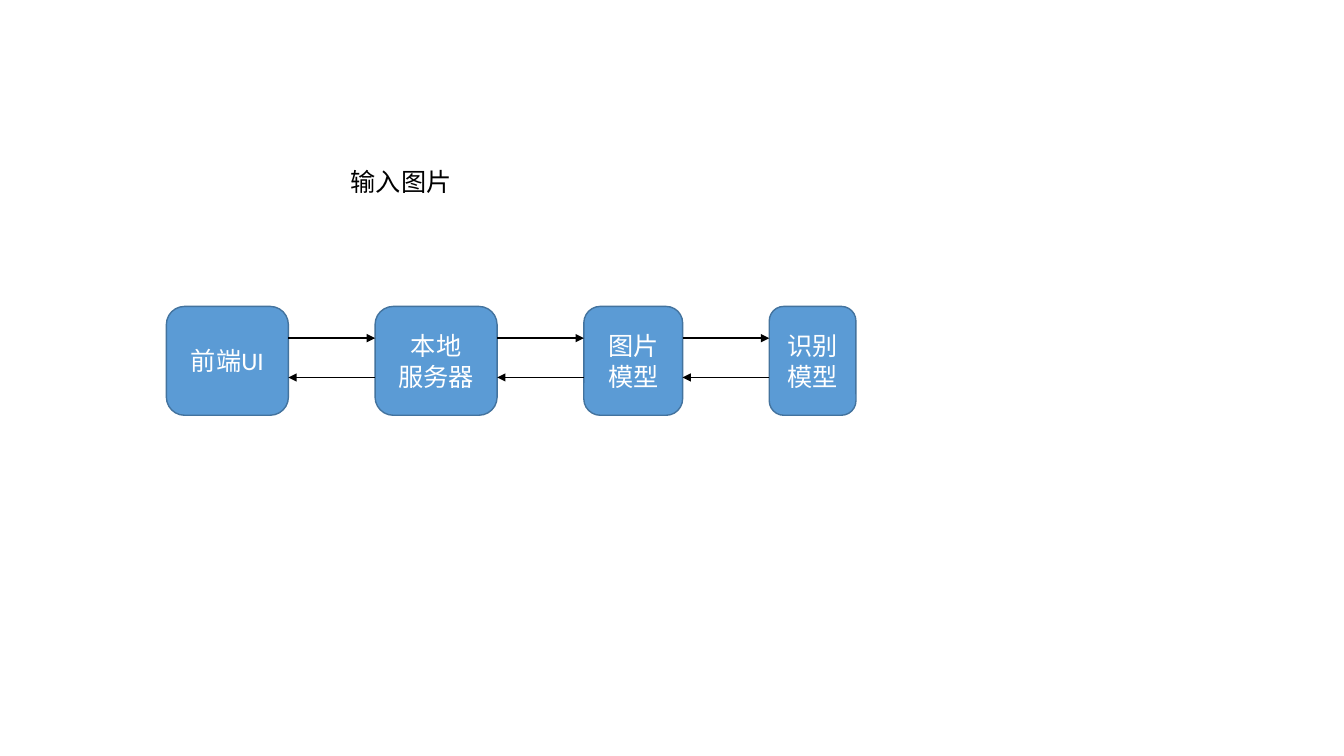
from itertools import pairwise

from lxml import etree
from pptx import Presentation
from pptx.dml.color import RGBColor
from pptx.enum.shapes import MSO_CONNECTOR, MSO_SHAPE
from pptx.enum.text import MSO_ANCHOR, MSO_AUTO_SIZE, PP_ALIGN
from pptx.oxml.ns import qn
from pptx.util import Inches, Pt

ROUND = MSO_SHAPE.ROUNDED_RECTANGLE
LINE = MSO_CONNECTOR.STRAIGHT
MIDDLE = MSO_ANCHOR.MIDDLE
GROW = MSO_AUTO_SIZE.SHAPE_TO_FIT_TEXT
CENTER, LEFT = PP_ALIGN.CENTER, PP_ALIGN.LEFT

BLUE = RGBColor(0x5B, 0x9B, 0xD5)
EDGE = RGBColor(0x43, 0x73, 0x9E)
WHITE = RGBColor(0xFF, 0xFF, 0xFF)
BLACK = RGBColor(0, 0, 0)

WIDE, HIGH = Inches(13.33), Inches(7.5)

# Flow grid, in percent of the slide's width and height
START, GAP = 12.38, 6.45
TOP, TALL = 40.53, 14.4
SEND, REPLY = 44.73, 49.93
STAGES = [
    ("前端UI", 9.08),
    ("本地\n服务器", 9.08),
    ("图片模型", 7.35),
    ("识别模型", 6.45),
]


def col(share):
    return round(WIDE * share / 100)


def row(share):
    return round(HIGH * share / 100)


def write(frame, text, color, align):
    frame.word_wrap = True
    frame.text = text
    for para in frame.paragraphs:
        para.alignment = align
        para.font.name = "Calibri"
        para.font.size = Pt(18)
        para.font.color.rgb = color


def add_stage(slide, text, left, width):
    box = slide.shapes.add_shape(
        ROUND, col(left), row(TOP), col(width), row(TALL))
    box.shadow.inherit = False
    box.fill.solid()
    box.fill.fore_color.rgb = BLUE
    box.line.color.rgb = EDGE
    box.line.width = Pt(1)
    box.text_frame.vertical_anchor = MIDDLE
    write(box.text_frame, text, WHITE, CENTER)
    return box


def add_arrow(slide, start, end, level):
    arrow = slide.shapes.add_connector(
        LINE, start, row(level), end, row(level))
    arrow.line.color.rgb = BLACK
    arrow.line.width = Pt(1)
    tip = etree.SubElement(arrow.line._get_or_add_ln(), qn("a:tailEnd"))
    tip.set("type", "triangle")
    etree.SubElement(arrow._element.spPr, qn("a:effectLst"))


def add_label(slide, text, left, top, width, height):
    label = slide.shapes.add_textbox(
        col(left), row(top), col(width), row(height))
    label.text_frame.auto_size = GROW
    write(label.text_frame, text, BLACK, LEFT)


def main():
    deck = Presentation()
    deck.slide_width, deck.slide_height = WIDE, HIGH
    slide = deck.slides.add_slide(deck.slide_layouts[6])

    # Stages, evenly spaced
    boxes = []
    left = START
    for text, width in STAGES:
        boxes.append(add_stage(slide, text, left, width))
        left += width + GAP

    # Request and reply between neighbours
    for near, far in pairwise(boxes):
        edge = near.left + near.width
        add_arrow(slide, edge, far.left, SEND)
        add_arrow(slide, far.left, edge, REPLY)

    # Input caption
    add_label(slide, "输入图片", 25.35, 21.33, 10.65, 5.33)

    deck.save("out.pptx")


main()
